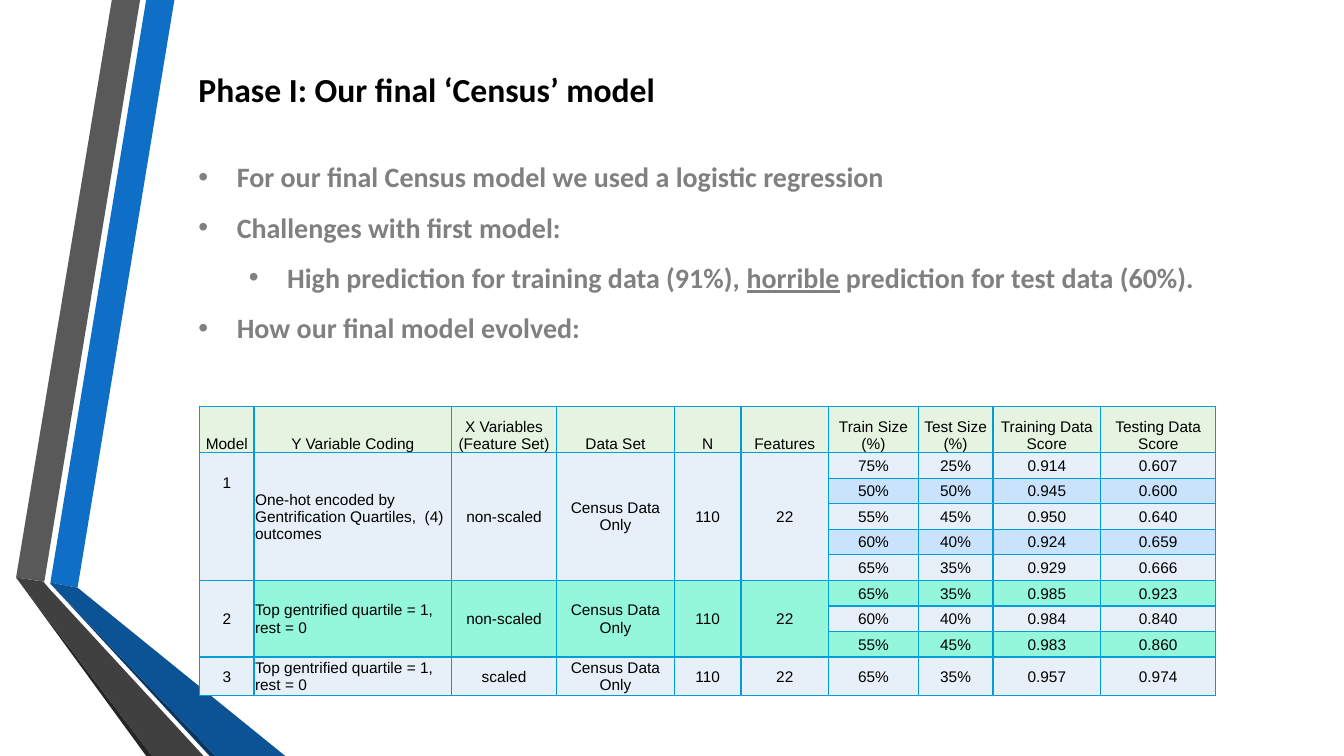
from lxml.etree import SubElement
from pptx import Presentation
from pptx.dml.color import RGBColor as RGB
from pptx.enum.text import MSO_ANCHOR as ANCHOR, PP_ALIGN as ALIGN
from pptx.oxml.ns import qn
from pptx.util import Inches, Pt

BLACK = RGB(0x00, 0x00, 0x00)
GRAY = RGB(0x80, 0x80, 0x80)
BORDER = RGB(0x00, 0x9D, 0xD9)
HEADER = RGB(0xE5, 0xF4, 0xE0)
PALE = RGB(0xE7, 0xEF, 0xF8)
SKY = RGB(0xC8, 0xE3, 0xFB)
MINT = RGB(0x94, 0xF7, 0xDC)

W, H = 13.33, 7.5

# Ribbons down the left edge: colour and corner points in inches
RIBBONS = [
    (RGB(0x0F, 0x6F, 0xC6), [(0.5, 5.78), (0.77, 5.83), (1.73, 0), (1.45, 0)]),
    (RGB(0x59, 0x59, 0x59), [(1.39, 0), (1.11, 0), (0.16, 5.73), (0.44, 5.77)]),
    (RGB(0x26, 0x26, 0x26), [(0.16, 5.73), (1.45, H), (1.51, H)]),
    (RGB(0x08, 0x37, 0x63), [(0.5, 5.79), (2.08, H), (2.14, H)]),
    (RGB(0x0B, 0x53, 0x94), [(0.5, 5.79), (2.14, H), (2.83, H), (0.77, 5.83), (0.5, 5.78)]),
    (RGB(0x40, 0x40, 0x40), [(2.02, H), (0.48, 5.83), (0.43, 5.77), (0.16, 5.73), (1.51, H)]),
]

TITLE = "Phase I: Our final ‘Census’ model"
# Bullets: level, then (text, underlined) runs
BULLETS = [
    (0, [("For our final Census model we used a logistic regression", False)]),
    (0, [("Challenges with first model:", False)]),
    (1, [("High prediction for training data (91%), ", False), ("horrible", True),
         (" prediction for test data (60%).", False)]),
    (0, [("How our final model evolved:", False)]),
]

HEADINGS = ["Model", "Y Variable Coding", "X Variables\n(Feature Set)", "Data Set", "N",
            "Features", "Train Size (%)", "Test Size\n(%)", "Training Data Score",
            "Testing Data Score"]
# Models: description, colour of the description, then (colour, scores) for each split
MODELS = [
    (["1", "One-hot encoded by Gentrification Quartiles,  (4) outcomes", "non-scaled",
      "Census Data\nOnly", "110", "22"], PALE,
     [(PALE, ["75%", "25%", "0.914", "0.607"]),
      (SKY, ["50%", "50%", "0.945", "0.600"]),
      (PALE, ["55%", "45%", "0.950", "0.640"]),
      (SKY, ["60%", "40%", "0.924", "0.659"]),
      (PALE, ["65%", "35%", "0.929", "0.666"])]),
    (["2", "Top gentrified quartile = 1, rest = 0", "non-scaled",
      "Census Data\nOnly", "110", "22"], MINT,
     [(MINT, ["65%", "35%", "0.985", "0.923"]),
      (PALE, ["60%", "40%", "0.984", "0.840"]),
      (MINT, ["55%", "45%", "0.983", "0.860"])]),
    (["3", "Top gentrified quartile = 1, rest = 0", "scaled",
      "Census Data Only", "110", "22"], PALE,
     [(PALE, ["65%", "35%", "0.957", "0.974"])]),
]
CODING_COL = 1
COL_WIDTHS = [0.54, 1.96, 1.04, 1.17, 0.66, 0.87, 0.89, 0.74, 1.07, 1.14]
TABLE_X, TABLE_Y, TABLE_H = 1.98, 4.03, 2.87
HEADER_H, LAST_H = 0.46, 0.38


def add_run(p, text, font, size, color, bold=False, underline=None):
    r = p.add_run()
    r.text = text
    r.font.name, r.font.size, r.font.bold = font, Pt(size), bold
    r.font.color.rgb = color
    r.font.underline = underline


def add_ribbon(slide, color, points):
    corners = [(Inches(x), Inches(y)) for x, y in points]
    builder = slide.shapes.build_freeform(*corners[0])
    builder.add_line_segments(corners[1:], close=True)
    sp = builder.convert_to_shape()
    sp.shadow.inherit = False
    sp.fill.solid()
    sp.fill.fore_color.rgb = color
    sp.line.fill.background()


def add_bullet(p, level):
    p.level = level
    p.line_spacing = 1.5
    pPr = p._p.get_or_add_pPr()
    pPr.set("marL", str(Inches(0.38 + 0.5 * level)))
    pPr.set("indent", str(Inches(-0.38)))
    SubElement(pPr, qn("a:buFont"), typeface="Arial")
    SubElement(pPr, qn("a:buChar"), char="•")


def add_text(slide):
    tf = slide.shapes.add_textbox(Inches(1.87), Inches(0.63), Inches(10.91),
                                  Inches(3.2)).text_frame
    tf.word_wrap = True
    add_run(tf.paragraphs[0], TITLE, "Calibri", 24, BLACK, bold=True)
    for i, (level, runs) in enumerate(BULLETS):
        p = tf.add_paragraph()
        add_bullet(p, level)
        if i == 0:
            p.space_before = Pt(24.4)
        for text, underlined in runs:
            add_run(p, text, "Calibri", 20, GRAY, bold=True, underline=underlined or None)


def style_cell(cell, color):
    tcPr = cell._tc.get_or_add_tcPr()
    for side in ("a:lnL", "a:lnR", "a:lnT", "a:lnB"):
        ln = SubElement(tcPr, qn(side), w=str(Pt(1)))
        SubElement(SubElement(ln, qn("a:solidFill")), qn("a:srgbClr"), val=str(BORDER))
    cell.fill.solid()
    cell.fill.fore_color.rgb = color
    cell.margin_left = cell.margin_right = cell.margin_top = Inches(0.01)
    cell.margin_bottom = 0


def fill_cell(cell, text, anchor=ANCHOR.MIDDLE, align=ALIGN.CENTER):
    cell.vertical_anchor = anchor
    tf = cell.text_frame
    for i, line in enumerate(text.split("\n")):
        p = tf.add_paragraph() if i else tf.paragraphs[0]
        p.alignment = align
        add_run(p, line, "Arial", 11, BLACK)


def add_model_table(slide):
    n_rows = 1 + sum(len(splits) for _, _, splits in MODELS)
    table = slide.shapes.add_table(n_rows, len(COL_WIDTHS), Inches(TABLE_X), Inches(TABLE_Y),
                                   Inches(sum(COL_WIDTHS)), Inches(TABLE_H)).table
    table.first_row = table.horz_banding = False
    for col, width in zip(table.columns, COL_WIDTHS):
        col.width = Inches(width)
    split_h = (TABLE_H - HEADER_H - LAST_H) / (n_rows - 2)
    for row, height in zip(table.rows, [HEADER_H] + [split_h] * (n_rows - 2) + [LAST_H]):
        row.height = Inches(height)

    for c, heading in enumerate(HEADINGS):
        style_cell(table.cell(0, c), HEADER)
        fill_cell(table.cell(0, c), heading, ANCHOR.BOTTOM)

    top = 1
    for description, color, splits in MODELS:
        last = top + len(splits) - 1
        for r, (split_color, scores) in enumerate(splits, top):
            for c in range(len(description)):
                style_cell(table.cell(r, c), color if c else PALE)
            for c, score in enumerate(scores, len(description)):
                style_cell(table.cell(r, c), split_color)
                fill_cell(table.cell(r, c), score)
        for c, text in enumerate(description):
            cell = table.cell(top, c)
            if last > top:
                cell.merge(table.cell(last, c))
            fill_cell(cell, text, align=ALIGN.LEFT if c == CODING_COL else ALIGN.CENTER)
        top = last + 1
    table.cell(1, 0).margin_bottom = Inches(0.67)  # lifts the first model's number


def main():
    prs = Presentation()
    prs.slide_width, prs.slide_height = Inches(W), Inches(H)
    slide = prs.slides.add_slide(prs.slide_layouts[6])
    for color, points in RIBBONS:
        add_ribbon(slide, color, points)
    add_text(slide)
    add_model_table(slide)
    prs.save("out.pptx")


if __name__ == "__main__":
    main()
